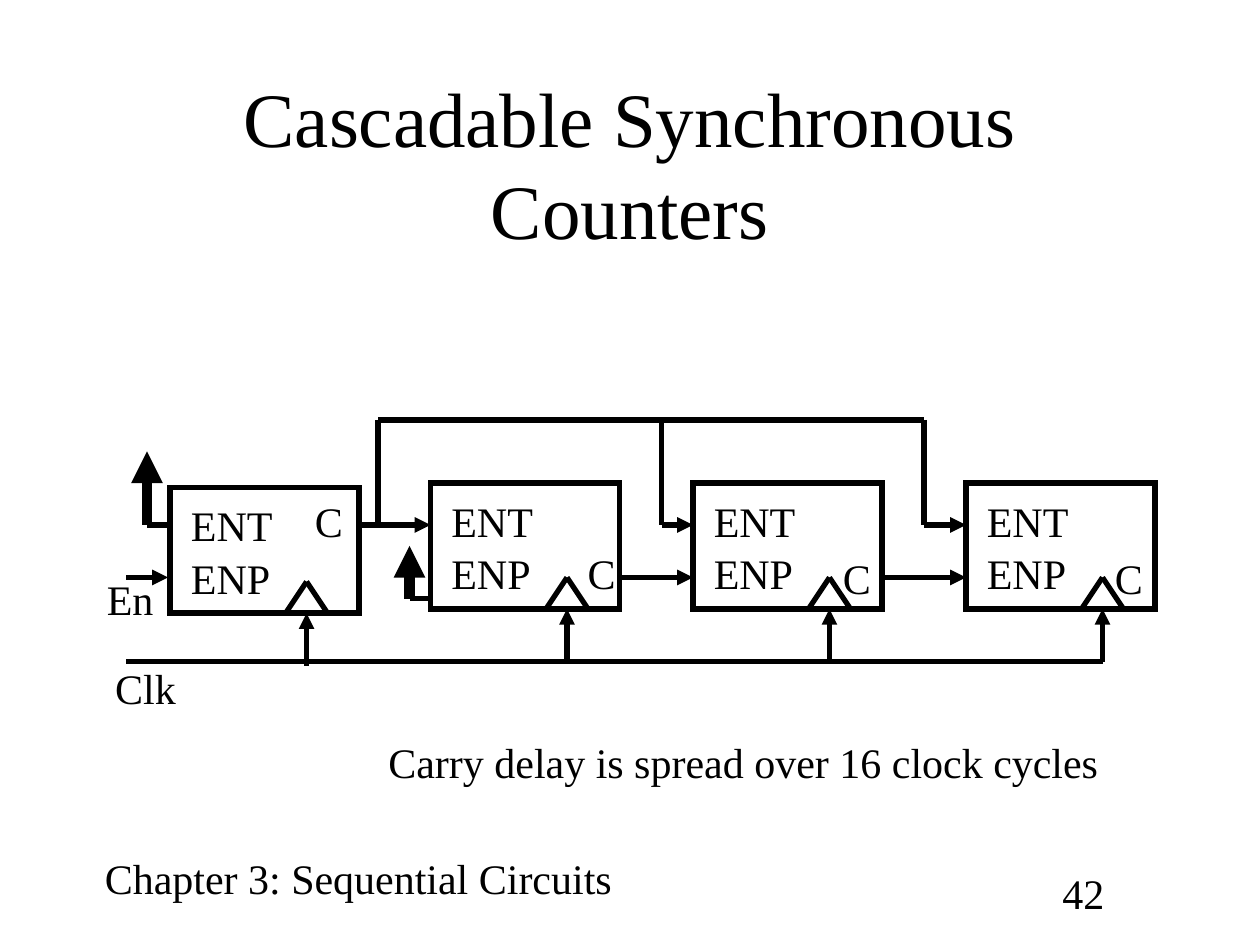
"""Build a slide with four cascaded synchronous counters."""
import dataclasses

import pptx
import pptx.dml.color
import pptx.enum.shapes
import pptx.enum.text
import pptx.oxml.ns
import pptx.slide
import pptx.util
from lxml import etree

SCALE = 7620
COLORS = {"ink": "000000"}
FONT = "Times New Roman"


@dataclasses.dataclass
class Stage:
    """A counter block and the place of its carry label."""
    left: int
    top: int
    carry: tuple[int, int]


@dataclasses.dataclass
class Wire:
    """A straight line, with an arrowhead at its end if asked."""
    start: tuple[int, int]
    end: tuple[int, int]
    arrow: bool = False
    weight: int = 3


@dataclasses.dataclass
class Label:
    """A line of text and its place."""
    text: str
    left: int
    top: int
    width: int
    wrap: bool = False


STAGES = [
    Stage(162, 464, (288, 466)),
    Stage(410, 460, (548, 516)),
    Stage(660, 460, (791, 520)),
    Stage(920, 460, (1050, 520)),
]

WIRES = [
    Wire((120, 630), (1050, 630)),
    Wire((140, 500), (160, 500)),
    Wire((140, 500), (140, 430), True, 6),
    Wire((120, 550), (160, 550), True),
    Wire((340, 500), (360, 500)),
    Wire((360, 500), (360, 400)),
    Wire((360, 400), (880, 400)),
    Wire((360, 500), (410, 500), True),
    Wire((410, 570), (390, 570)),
    Wire((390, 570), (390, 520), True, 6),
    Wire((630, 400), (630, 500)),
    Wire((630, 500), (660, 500), True),
    Wire((590, 550), (660, 550), True),
    Wire((880, 400), (880, 500)),
    Wire((880, 500), (920, 500), True),
    Wire((840, 550), (920, 550), True),
]

LABELS = [
    Label("En", 90, 540, 72),
    Label("Clk", 98, 625, 84),
    Label("Carry delay is spread over 16 clock cycles", 358, 696, 700),
    Label("Chapter 3: Sequential Circuits", 88, 806, 536),
    Label("42", 1000, 820, 110, True),
]


def px(*values: int) -> list[pptx.util.Emu]:
    """Turn px lengths into EMU."""
    return [pptx.util.Emu(value * SCALE) for value in values]


def ink() -> pptx.dml.color.RGBColor:
    """Return the drawing colour."""
    return pptx.dml.color.RGBColor.from_string(COLORS["ink"])


def write(slide: pptx.slide.Slide, text: str, left: int, top: int, width: int,
          *, height: int = 60, size: int = 24, wrap: bool = False,
          align: str = "LEFT", anchor: str = "TOP") -> None:
    """Add a text box in the given format."""
    frame = slide.shapes.add_textbox(*px(left, top, width, height)).text_frame
    frame.word_wrap = wrap
    frame.vertical_anchor = pptx.enum.text.MSO_ANCHOR[anchor]
    para = frame.paragraphs[0]
    para.text = text
    para.alignment = pptx.enum.text.PP_ALIGN[align]
    para.font.name = FONT
    para.font.size = pptx.util.Pt(size)
    para.font.color.rgb = ink()


def draw_wire(slide: pptx.slide.Slide, wire: Wire) -> None:
    """Add one wire."""
    kind = pptx.enum.shapes.MSO_CONNECTOR.STRAIGHT
    line = slide.shapes.add_connector(kind, *px(*wire.start, *wire.end))
    line.line.color.rgb = ink()
    line.line.width = pptx.util.Pt(wire.weight)
    props = line._element.spPr
    qn = pptx.oxml.ns.qn
    if wire.arrow:
        etree.SubElement(props.find(qn("a:ln")), qn("a:tailEnd"), type="triangle")
    etree.SubElement(props, qn("a:effectLst"))


def draw_stage(slide: pptx.slide.Slide, stage: Stage) -> None:
    """Add a counter block with its pins and clock input."""
    left, top = stage.left, stage.top
    kind = pptx.enum.shapes.MSO_SHAPE.RECTANGLE
    block = slide.shapes.add_shape(kind, *px(left, top, 180, 120))
    block.shadow.inherit = False
    block.fill.background()
    block.line.color.rgb = ink()
    block.line.width = pptx.util.Pt(3)
    qn = pptx.oxml.ns.qn
    outline = block._element.spPr.find(qn("a:ln"))
    etree.SubElement(outline, qn("a:miter"), lim="800000")
    write(slide, "ENT", left + 8, top + 6, 102)
    write(slide, "ENP", left + 8, top + 56, 100)
    write(slide, "C", *stage.carry, 50)
    clock, base = left + 130, top + 120
    peak = (clock, base - 30)
    draw_wire(slide, Wire((clock - 20, base), peak))
    draw_wire(slide, Wire(peak, (clock + 20, base)))
    draw_wire(slide, Wire((clock, base + 50), (clock, base), True))


def main() -> None:
    """Build and save the slide."""
    deck = pptx.Presentation()
    deck.slide_width, deck.slide_height = px(1200, 900)
    slide = deck.slides.add_slide(deck.slide_layouts[6])
    write(slide, "Cascadable Synchronous Counters", 90, 80, 1020, height=150,
          size=44, wrap=True, align="CENTER", anchor="MIDDLE")
    for stage in STAGES:
        draw_stage(slide, stage)
    for wire in WIRES:
        draw_wire(slide, wire)
    for label in LABELS:
        write(slide, label.text, label.left, label.top, label.width,
              wrap=label.wrap)
    deck.save("out.pptx")


if __name__ == "__main__":
    main()
